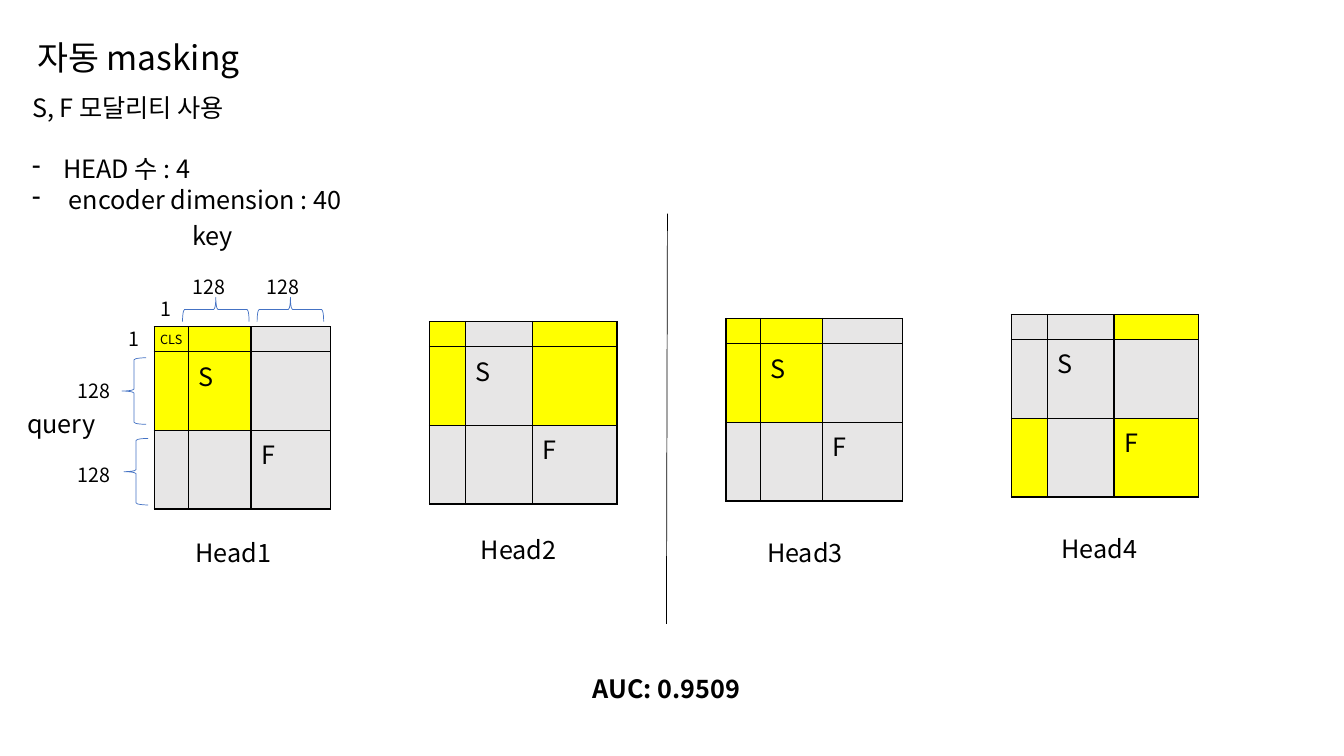
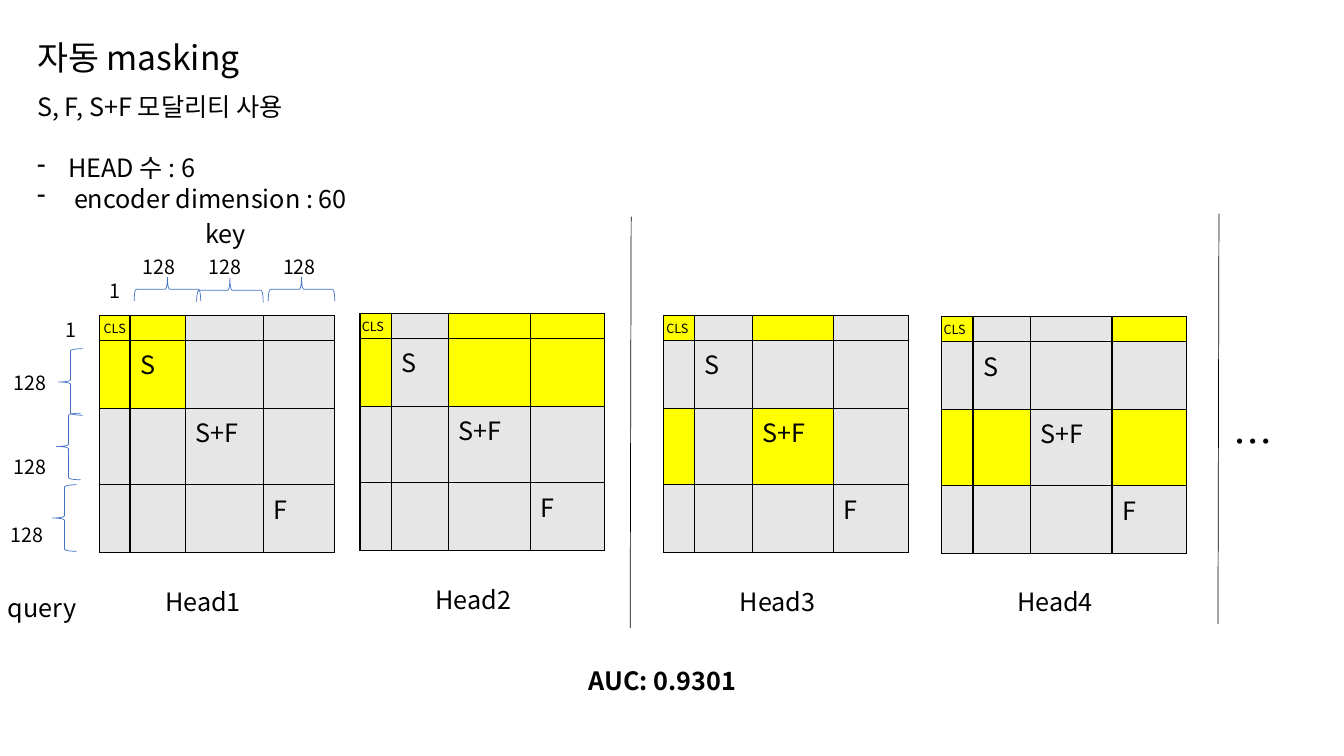
from dataclasses import dataclass
from typing import Any, NamedTuple, Optional

from lxml.etree import SubElement
from pptx import Presentation
from pptx.dml.color import RGBColor
from pptx.enum.shapes import MSO_CONNECTOR as Connector, MSO_SHAPE as Shape
from pptx.enum.text import MSO_ANCHOR as Anchor, MSO_AUTO_SIZE as AutoSize
from pptx.oxml.ns import qn
from pptx.util import Inches, Pt


@dataclass(frozen=True)
class Theme:
    font: str = "Noto Sans CJK KR"
    ink: str = "000000"
    attended: str = "FFFF00"
    masked: str = "E7E6E6"
    brace: str = "4472C4"
    title: int = 24
    body: int = 18
    count: int = 14
    cls: int = 9
    empty_cell: int = 8
    more: int = 28
    hairline: float = 0.5
    border: float = 1


THEME = Theme()


class Box(NamedTuple):
    left: float
    top: float
    width: float
    height: float


class Label(NamedTuple):
    text: str
    left: float
    top: float
    width: float = 0.66
    height: float = 0.34
    size: int = THEME.count


class Brace(NamedTuple):
    left: float
    top: float
    rotation: int = 0


class Divider(NamedTuple):
    left: float
    top: float
    bottom: float


class Head(NamedTuple):
    left: float
    top: float
    columns: tuple[float, ...]
    mask: str  # rows split by blanks, Y marks an attended cell
    name_left: float
    name_top: float
    cls_left: Optional[float] = None


@dataclass(frozen=True)
class MaskPage:
    summary: str
    summary_left: float
    summary_top: float
    facts: tuple[str, ...]
    score: str
    score_left: float
    score_top: float
    modalities: tuple[str, ...]
    rows: tuple[float, ...]
    heads: tuple[Head, ...]
    labels: tuple[Label, ...]
    braces: tuple[Brace, ...]
    dividers: tuple[Divider, ...]


# Text
def write(para: Any, text: str, *, size: int = THEME.body, bold: bool = False,
          line_spacing: Optional[float] = None, space_before: float = 0,
          bullet: str = "") -> None:
    span = para.add_run()
    span.text = text
    font = span.font
    font.name, font.size, font.bold = THEME.font, Pt(size), bold
    font.color.rgb = RGBColor.from_string(THEME.ink)
    SubElement(font._element, qn("a:ea"), typeface=THEME.font)
    if line_spacing:
        para.line_spacing = line_spacing
    if space_before:
        para.space_before = Pt(space_before)
    if bullet:
        props = para._p.get_or_add_pPr()
        props.set("marL", str(Inches(0.31)))
        props.set("indent", str(Inches(-0.31)))
        SubElement(props, qn("a:buChar"), char=bullet)


def add_box(page: Any, box: Box, *, fit: bool = True) -> Any:
    frame = page.shapes.add_textbox(*map(Inches, box)).text_frame
    frame.word_wrap = True
    frame.auto_size = AutoSize.SHAPE_TO_FIT_TEXT if fit else AutoSize.NONE
    return frame


def add_label(page: Any, label: Label, *, bold: bool = False) -> None:
    box = Box(label.left, label.top, label.width, label.height)
    write(add_box(page, box).paragraphs[0], label.text, size=label.size, bold=bold)


# Attention grids
def paint_cell(cell: Any, colour: str) -> None:
    cell.fill.solid()
    cell.fill.fore_color.rgb = RGBColor.from_string(colour)
    props = cell._tc.get_or_add_tcPr()
    for position, side in enumerate(("lnL", "lnR", "lnT", "lnB")):
        line = SubElement(props, qn(f"a:{side}"), w=str(Pt(THEME.border)))
        fill = SubElement(line, qn("a:solidFill"))
        SubElement(fill, qn("a:srgbClr"), val=THEME.ink)
        props.insert(position, line)


def add_head(page: Any, head: Head, number: int, rows: tuple[float, ...],
             modalities: tuple[str, ...]) -> None:
    box = Box(head.left, head.top, sum(head.columns), sum(rows))
    table = page.shapes.add_table(
        len(rows), len(head.columns), *map(Inches, box)).table
    table.first_row = table.horz_banding = False
    for column, width in zip(table.columns, head.columns):
        column.width = Inches(width)
    for row, height in zip(table.rows, rows):
        row.height = Inches(height)
    for row_index, marks in enumerate(head.mask.split()):
        for column_index, mark in enumerate(marks):
            cell = table.cell(row_index, column_index)
            para = cell.text_frame.paragraphs[0]
            if row_index == column_index and modalities[row_index]:
                write(para, modalities[row_index])
            else:
                SubElement(para._p, qn("a:endParaRPr"),
                           sz=str(THEME.empty_cell * 100))
            paint_cell(cell, THEME.attended if mark == "Y" else THEME.masked)
    add_label(page, Label(f"Head{number}", head.name_left, head.name_top,
                          1.7, 0.4, THEME.body))
    if head.cls_left is not None:
        add_label(page, Label("CLS", head.cls_left, head.top,
                              0.95, 0.25, THEME.cls))


# Braces and dividers
def add_brace(page: Any, brace: Brace) -> None:
    box = Box(brace.left, brace.top, 0.24, 0.66)
    shape = page.shapes.add_shape(Shape.LEFT_BRACE, *map(Inches, box))
    shape.shadow.inherit = False
    shape.rotation = brace.rotation
    shape.fill.background()
    shape.line.color.rgb = RGBColor.from_string(THEME.brace)
    shape.line.width = Pt(THEME.hairline)


def add_divider(page: Any, divider: Divider) -> None:
    ends = (divider.left, divider.top, divider.left - 0.01, divider.bottom)
    line = page.shapes.add_connector(Connector.STRAIGHT, *map(Inches, ends))
    line.line.color.rgb = RGBColor.from_string(THEME.ink)
    line.line.width = Pt(THEME.hairline)
    SubElement(line._element.spPr, qn("a:effectLst"))


# Whole page
def add_page(deck: Any, content: MaskPage) -> None:
    page = deck.slides.add_slide(deck.slide_layouts[6])
    title = add_box(page, Box(0.27, -0.13, 11.5, 1.45), fit=False)
    title.vertical_anchor = Anchor.MIDDLE
    write(title.paragraphs[0], "자동 masking", size=THEME.title, line_spacing=0.9)

    summary = add_box(page, Box(content.summary_left, content.summary_top, 12.47, 1.31))
    write(summary.paragraphs[0], content.summary)
    for index, fact in enumerate(content.facts):
        write(summary.add_paragraph(), fact, bullet="-",
              space_before=0 if index else 22)

    for number, head in enumerate(content.heads, 1):
        add_head(page, head, number, content.rows, content.modalities)
    for label in content.labels:
        add_label(page, label)
    for brace in content.braces:
        add_brace(page, brace)
    for divider in content.dividers:
        add_divider(page, divider)
    add_label(page, Label(content.score, content.score_left, content.score_top,
                          2.85, 0.4, THEME.body), bold=True)


# Column widths of the grids
NARROW_3, WIDE_3 = (0.34, 0.62, 0.79), (0.36, 0.66, 0.84)
NARROW_4, WIDE_4 = (0.3, 0.55, 0.77, 0.71), (0.31, 0.57, 0.81, 0.74)

PAGES = (
    MaskPage(
        summary="S, F 모달리티 사용", summary_left=0.22, summary_top=0.87,
        facts=("HEAD 수 : 4", " encoder dimension : 40"),
        score="AUC: 0.9509", score_left=5.78, score_top=6.63,
        modalities=("", "S", "F"),
        rows=(0.25, 0.78, 0.78),
        heads=(
            Head(1.53, 3.24, NARROW_3, "YY. YY. ...", 1.84, 5.28, 1.49),
            Head(4.26, 3.19, WIDE_3, "Y.Y Y.Y ...", 4.67, 5.25),
            Head(7.2, 3.16, NARROW_3, "YY. YY. ...", 7.51, 5.28),
            Head(10.03, 3.12, WIDE_3, "..Y ... Y.Y", 10.43, 5.24),
        ),
        labels=(
            Label("1", 1.49, 2.9), Label("128", 1.81, 2.68), Label("128", 2.55, 2.68),
            Label("1", 1.18, 3.19), Label("128", 0.67, 3.71), Label("128", 0.67, 4.54),
            Label("query", 0.17, 4, 1.07, 0.4, THEME.body),
            Label("key", 1.81, 2.14, 2.48, 0.4, THEME.body),
        ),
        braces=(Brace(1.21, 3.55), Brace(1.23, 4.35),
                Brace(2.02, 2.74, 90), Brace(2.76, 2.74, 90)),
        dividers=(Divider(6.62, 2.12, 6.19),),
    ),
    MaskPage(
        summary="S, F, S+F 모달리티 사용", summary_left=0.27, summary_top=0.86,
        facts=("HEAD 수 : 6", " encoder dimension : 60"),
        score="AUC: 0.9301", score_left=5.74, score_top=6.55,
        modalities=("", "S", "S+F", "F"),
        rows=(0.25, 0.67, 0.76, 0.67),
        heads=(
            Head(0.99, 3.13, NARROW_4, "YY.. YY.. .... ....", 1.54, 5.77, 0.93),
            Head(3.57, 3.11, WIDE_4, "Y.YY Y.YY .... ....", 4.22, 5.75, 3.49),
            Head(6.58, 3.13, WIDE_4, "Y.Y. .... Y.Y. ....", 7.24, 5.77, 6.51),
            Head(9.34, 3.14, WIDE_4, "Y..Y .... YY.Y ....", 9.99, 5.77, 9.26),
        ),
        labels=(
            Label("1", 0.99, 2.72), Label("128", 1.32, 2.48),
            Label("128", 1.97, 2.48), Label("128", 2.71, 2.48),
            Label("1", 0.55, 3.11, 0.38), Label("128", 0.04, 3.63),
            Label("128", 0.04, 4.46), Label("128", 0.01, 5.14),
            Label("query", -0.02, 5.83, 1.07, 0.4, THEME.body),
            Label("key", 1.94, 2.12, 2.48, 0.4, THEME.body),
            Label("…", 12.14, 4.09, 1.15, 0.57, THEME.more),
        ),
        braces=(Brace(0.58, 3.46), Brace(0.56, 4.1), Brace(0.52, 4.81),
                Brace(1.54, 2.54, 90), Brace(2.16, 2.55, 90), Brace(2.87, 2.54, 90)),
        dividers=(Divider(6.26, 2.15, 6.23), Divider(12.09, 2.12, 6.19)),
    ),
)


def build_deck() -> None:
    deck = Presentation()
    deck.slide_width, deck.slide_height = Inches(13.33), Inches(7.5)
    for content in PAGES:
        add_page(deck, content)
    deck.save("out.pptx")


build_deck()
